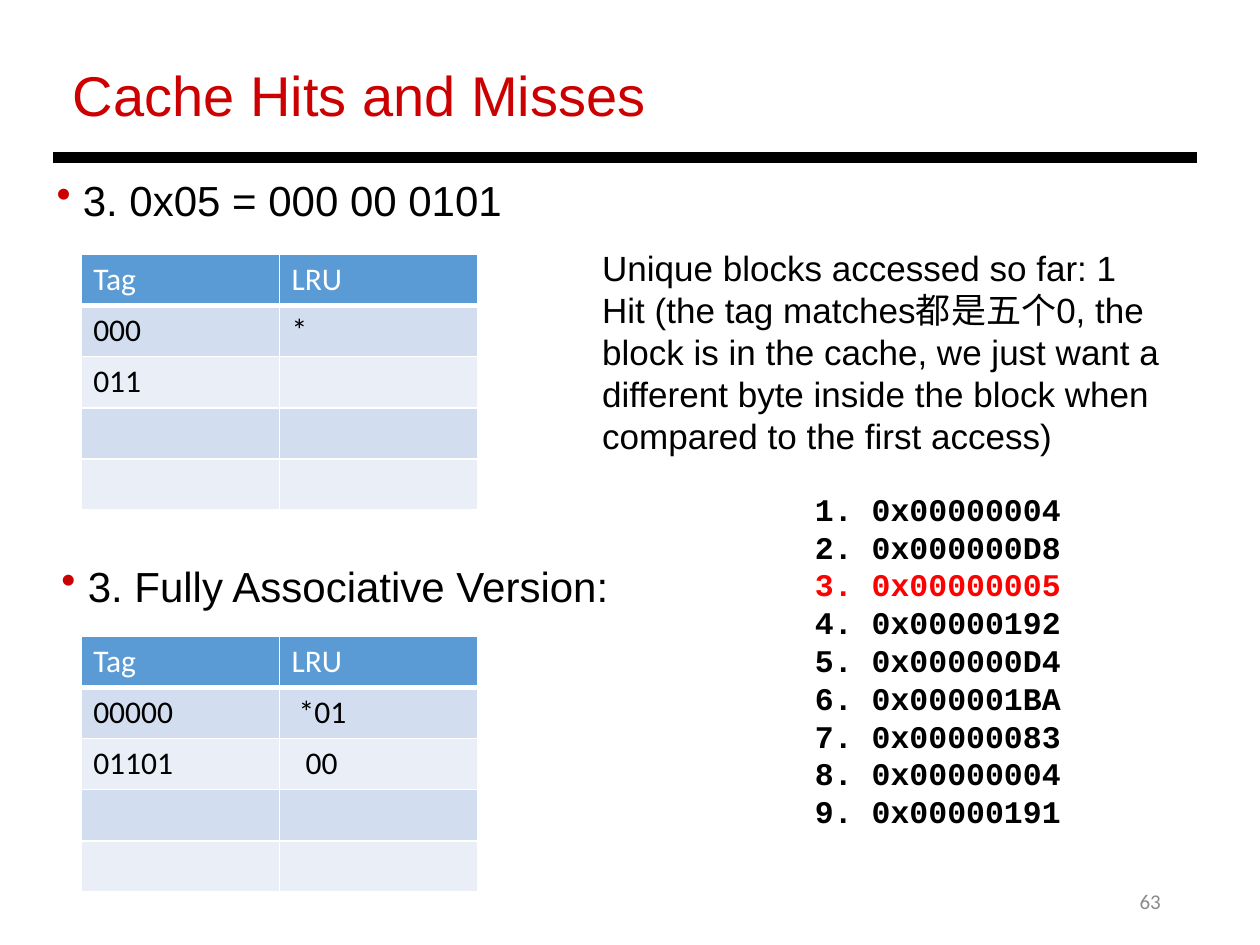
from dataclasses import dataclass

from lxml.etree import SubElement
from pptx import Presentation
from pptx.dml.color import RGBColor
from pptx.enum.shapes import MSO_CONNECTOR
from pptx.enum.text import MSO_ANCHOR, PP_ALIGN
from pptx.oxml.ns import qn
from pptx.util import Cm, Pt


@dataclass(frozen=True)
class Theme:
    black: str = "000000"
    white: str = "FFFFFF"
    title: str = "CC0000"
    current: str = "FF0000"
    page: str = "8C8C8C"
    header: str = "5B9BD5"
    bands: tuple = ("D2DEEF", "EAEFF7")
    sans: str = "Arial"
    table: str = "Calibri"
    mono: str = "Courier New"
    title_size: int = 32
    heading_size: int = 24
    note_size: int = 20
    body_size: int = 18
    page_size: int = 12


THEME = Theme()
LINE_PITCH = 1.2
ROW_COUNT = 5
COLUMN_WIDTH, ROW_HEIGHT = 4, 1.03
CELL_INSET, SPACE_WIDTH = 0.25, 0.14


def style(paragraph, face, size, color, bold=False):
    font = paragraph.font
    font.name, font.size, font.bold = face, Pt(size), bold
    font.color.rgb = RGBColor.from_string(color)


def add_text(slide, box, lines, face, size, color=THEME.black, bold=False):
    frame = slide.shapes.add_textbox(*map(Cm, box)).text_frame
    frame.word_wrap = True
    frame.text = "\n".join(lines)
    for paragraph in frame.paragraphs:
        style(paragraph, face, size, color, bold)
    return frame


def set_pitch(frame, size):
    """Fix the line distance in proportion to the type size."""
    for paragraph in frame.paragraphs:
        paragraph.line_spacing = Pt(size * LINE_PITCH)


def add_heading(slide, box, text):
    frame = slide.shapes.add_textbox(*map(Cm, box)).text_frame
    frame.word_wrap = True
    heading = frame.paragraphs[0]
    heading.text = text
    properties = heading._p.get_or_add_pPr()
    hang = Cm(0.53)
    properties.set("marL", str(hang))
    properties.set("indent", str(-hang))
    bullet_color = SubElement(properties, qn("a:buClr"))
    SubElement(bullet_color, qn("a:srgbClr"), val=THEME.title)
    SubElement(properties, qn("a:buChar"), char="•")
    style(heading, THEME.sans, THEME.heading_size, THEME.black)


def add_rule(slide, left, right, y, weight):
    rule = slide.shapes.add_connector(
        MSO_CONNECTOR.STRAIGHT, Cm(left), Cm(y), Cm(right), Cm(y))
    rule.line.color.rgb = RGBColor.from_string(THEME.black)
    rule.line.width = Pt(weight)
    SubElement(rule._element.spPr, qn("a:effectLst"))


def set_borders(cell, top, bottom):
    properties = cell._tc.get_or_add_tcPr()
    for side, weight in (("L", 1), ("R", 1), ("T", top), ("B", bottom)):
        border = SubElement(properties, qn(f"a:ln{side}"), w=str(Pt(weight)))
        fill = SubElement(border, qn("a:solidFill"))
        SubElement(fill, qn("a:srgbClr"), val=THEME.white)


def add_cache_table(slide, left, top, entries, lru_spaces=(0, 0)):
    """Draw the cache; lru_spaces shifts each LRU entry right in space widths."""
    rows = [("Tag", "LRU"), *entries]
    rows += [("", "")] * (ROW_COUNT - len(rows))
    shifts = dict(enumerate(lru_spaces, start=1))
    table = slide.shapes.add_table(
        ROW_COUNT, 2, Cm(left), Cm(top),
        Cm(2 * COLUMN_WIDTH), Cm(ROW_COUNT * ROW_HEIGHT)).table
    for column in table.columns:
        column.width = Cm(COLUMN_WIDTH)
    for r, values in enumerate(rows):
        table.rows[r].height = Cm(ROW_HEIGHT)
        fill = THEME.bands[(r - 1) % 2] if r else THEME.header
        for c, value in enumerate(values):
            cell = table.cell(r, c)
            set_borders(cell, top=3 if r == 1 else 1, bottom=1 if r else 3)
            cell.fill.solid()
            cell.fill.fore_color.rgb = RGBColor.from_string(fill)
            shift = shifts.get(r, 0) if c == 1 else 0
            cell.margin_left = Cm(CELL_INSET + shift * SPACE_WIDTH)
            cell.text = value
            style(cell.text_frame.paragraphs[0], THEME.table, THEME.body_size,
                  THEME.black if r else THEME.white)


def add_access_list(slide, box, addresses, current):
    lines = [f"{n}. {address}" for n, address in enumerate(addresses, start=1)]
    frame = add_text(slide, box, lines, THEME.mono, THEME.body_size, bold=True)
    set_pitch(frame, THEME.body_size)
    highlighted = frame.paragraphs[current - 1]
    highlighted.font.color.rgb = RGBColor.from_string(THEME.current)


def add_page_number(slide, box, number):
    frame = add_text(slide, box, [number], THEME.table, THEME.page_size, THEME.page)
    frame.vertical_anchor = MSO_ANCHOR.MIDDLE
    frame.paragraphs[0].alignment = PP_ALIGN.RIGHT


def main():
    deck = Presentation()
    deck.slide_width, deck.slide_height = Cm(25.4), Cm(19.05)
    slide = deck.slides.add_slide(deck.slide_layouts[6])

    add_page_number(slide, (17.93, 17.65, 5.72, 1.02), "63")
    add_text(slide, (1.22, 1.09, 22.33, 1.63), ["Cache Hits and Misses"],
             THEME.sans, THEME.title_size, THEME.title)
    add_rule(slide, 1.07, 24.13, 3.18, weight=6)

    add_heading(slide, (0.89, 3.4, 22.66, 1.27), "3. 0x05 = 000 00 0101")
    add_access_list(
        slide, (16.18, 9.75, 6.99, 7.19),
        ["0x00000004", "0x000000D8", "0x00000005", "0x00000192", "0x000000D4",
         "0x000001BA", "0x00000083", "0x00000004", "0x00000191"],
        current=3)
    add_cache_table(slide, 1.63, 5.13, [("000", "*"), ("011", "")])

    add_heading(slide, (0.99, 11.18, 12.57, 1.27), "3. Fully Associative Version:")
    add_cache_table(slide, 1.63, 12.83, [("00000", "*01"), ("01101", "00")],
                    lru_spaces=(1, 2))

    explanation = add_text(
        slide, (11.89, 4.85, 12.7, 4.52),
        ["Unique blocks accessed so far: 1",
         "Hit (the tag matches都是五个0, the block is in the cache, we just want "
         "a different byte inside the block when compared to the first access)"],
        THEME.sans, THEME.note_size)
    set_pitch(explanation, THEME.note_size)

    deck.save("out.pptx")


if __name__ == "__main__":
    main()
